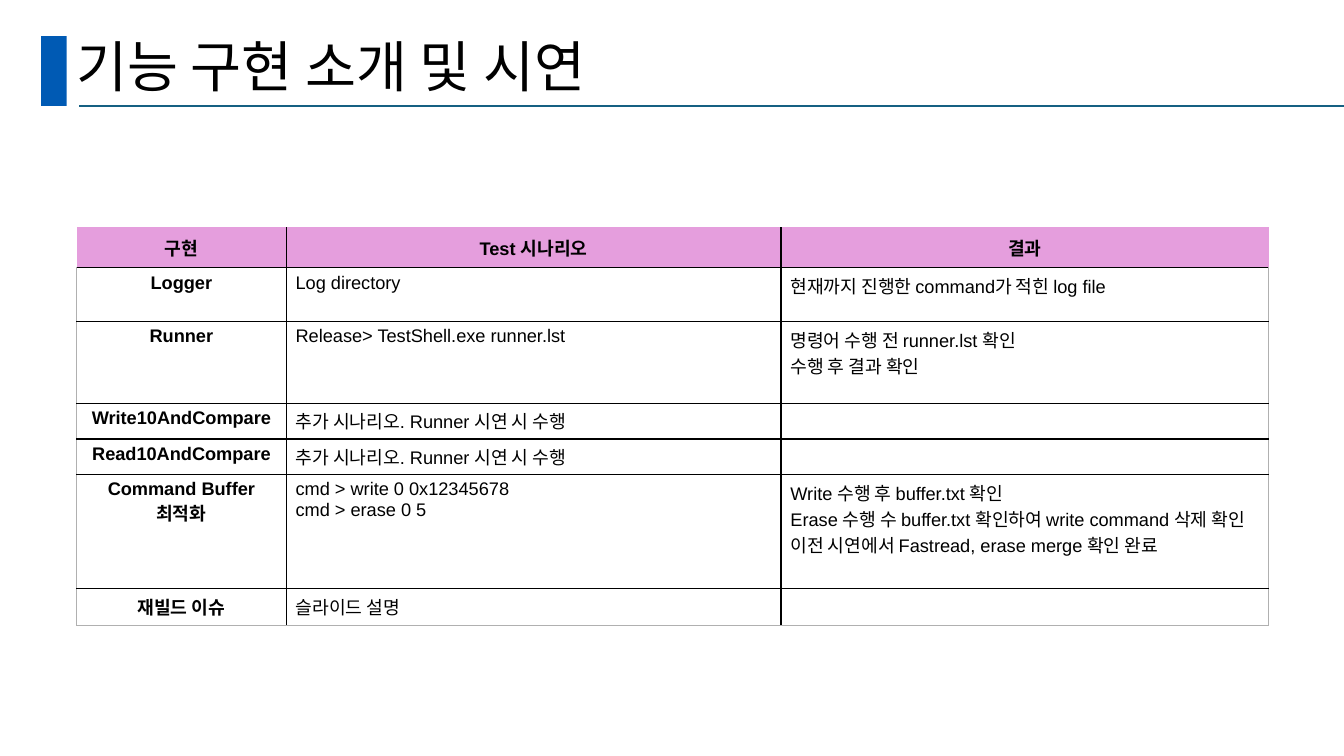
from pptx import Presentation
from pptx.dml.color import RGBColor
from pptx.enum.shapes import MSO_CONNECTOR, MSO_SHAPE
from pptx.enum.text import MSO_ANCHOR, PP_ALIGN
from pptx.oxml.ns import qn
from pptx.util import Cm, Pt
from lxml.etree import SubElement

LATIN, KOREAN = "Arial", "Noto Sans CJK KR"
BLACK, GREY, WHITE, BLUE, TEAL, PINK = (
    "000000", "B0B0B0", "FFFFFF", "005AB4", "156082", "E59EDD")

COLUMNS = [5.28, 12.47, 12.29]
ROW_HEIGHTS = [1.02, 1.35, 2.06, 0.9, 0.9, 2.87, 0.92]
EXTRA_SCENARIO = "추가 시나리오. Runner 시연 시 수행"
ROWS = [
    ["구현", "Test 시나리오", "결과"],
    ["Logger", "Log directory", "현재까지 진행한 command가 적힌 log file"],
    ["Runner", "Release> TestShell.exe runner.lst",
     "명령어 수행 전 runner.lst 확인\n수행 후 결과 확인"],
    ["Write10AndCompare", EXTRA_SCENARIO, ""],
    ["Read10AndCompare", EXTRA_SCENARIO, ""],
    ["Command Buffer\n최적화", "cmd > write 0 0x12345678\ncmd > erase 0 5",
     "Write 수행 후 buffer.txt 확인\n"
     "Erase 수행 수 buffer.txt 확인하여 write command 삭제 확인\n"
     "이전 시연에서 Fastread, erase merge 확인 완료"],
    ["재빌드 이슈", "슬라이드 설명", ""],
]


def rgb(value):
    return RGBColor.from_string(value)


def style_paragraph(p, size, latin, bold=False):
    p.font.size = Pt(size)
    p.font.name = latin
    p.font.bold = bold
    p.font.color.rgb = rgb(BLACK)
    # East Asian typeface
    props = p.font._element
    SubElement(props, qn("a:ea")).set("typeface", KOREAN)


def add_bar(s, x, y, w, h, color):
    sp = s.shapes.add_shape(MSO_SHAPE.RECTANGLE, Cm(x), Cm(y), Cm(w), Cm(h))
    sp.shadow.inherit = False
    sp.fill.solid()
    sp.fill.fore_color.rgb = rgb(color)
    sp.line.fill.background()


def add_rule(s, x1, x2, y, color, width):
    line = s.shapes.add_connector(
        MSO_CONNECTOR.STRAIGHT, Cm(x1), Cm(y), Cm(x2), Cm(y))
    line.line.color.rgb = rgb(color)
    line.line.width = Pt(width)
    SubElement(line._element.spPr, qn("a:effectLst"))


def add_title(s, text, x, y, w, h):
    tf = s.shapes.add_textbox(Cm(x), Cm(y), Cm(w), Cm(h)).text_frame
    tf.word_wrap = True
    tf.vertical_anchor = MSO_ANCHOR.MIDDLE
    p = tf.paragraphs[0]
    p.text = text
    p.line_spacing = 0.9
    style_paragraph(p, 39.6, KOREAN)


def set_border(cell, side, color, width):
    ln = SubElement(cell._tc.get_or_add_tcPr(), qn(f"a:{side}"))
    ln.set("w", str(Pt(width)))
    if color is None:
        SubElement(ln, qn("a:noFill"))
    else:
        fill = SubElement(ln, qn("a:solidFill"))
        SubElement(fill, qn("a:srgbClr")).set("val", color)


def fill_cell(cell, text, row, col):
    header = row == 0
    cell.margin_left = cell.margin_right = Cm(0.24)
    cell.margin_top = cell.margin_bottom = Cm(0.12)
    cell.vertical_anchor = MSO_ANCHOR.MIDDLE if header else MSO_ANCHOR.TOP
    cell.text = text
    for p in cell.text_frame.paragraphs:
        heading = header or col == 0
        p.alignment = PP_ALIGN.CENTER if heading else PP_ALIGN.LEFT
        style_paragraph(p, 13, LATIN, heading)
        if not text:
            SubElement(p._p, qn("a:endParaRPr")).set("sz", "1300")

    # Black inner lines, thin grey frame around the body
    outer = {"lnL": col == 0, "lnR": col == len(COLUMNS) - 1,
             "lnT": header, "lnB": row == len(ROWS) - 1}
    for side, is_outer in outer.items():
        if is_outer:
            set_border(cell, side, None if header else GREY, 0.5)
        else:
            set_border(cell, side, BLACK, 1)
    cell.fill.solid()
    cell.fill.fore_color.rgb = rgb(PINK if header else WHITE)


def add_feature_table(s, x, y):
    table = s.shapes.add_table(
        len(ROWS), len(COLUMNS), Cm(x), Cm(y),
        Cm(sum(COLUMNS)), Cm(sum(ROW_HEIGHTS))).table
    table.first_row = table.horz_banding = False
    for column, width in zip(table.columns, COLUMNS):
        column.width = Cm(width)
    for i, (height, texts) in enumerate(zip(ROW_HEIGHTS, ROWS)):
        table.rows[i].height = Cm(height)
        for j, text in enumerate(texts):
            fill_cell(table.cell(i, j), text, i, j)


def main():
    prs = Presentation()
    prs.slide_width, prs.slide_height = Cm(33.87), Cm(19.05)
    s = prs.slides.add_slide(prs.slide_layouts[6])

    # Heading
    add_bar(s, 1.04, 0.91, 0.64, 1.76, BLUE)
    add_rule(s, 2, 33.87, 2.67, TEAL, 1.5)
    add_title(s, "기능 구현 소개 및 시연", 1.68, 0.86, 29.21, 1.8)

    # Features with test scenarios and results
    add_feature_table(s, 1.93, 5.73)
    prs.save("out.pptx")


if __name__ == "__main__":
    main()
